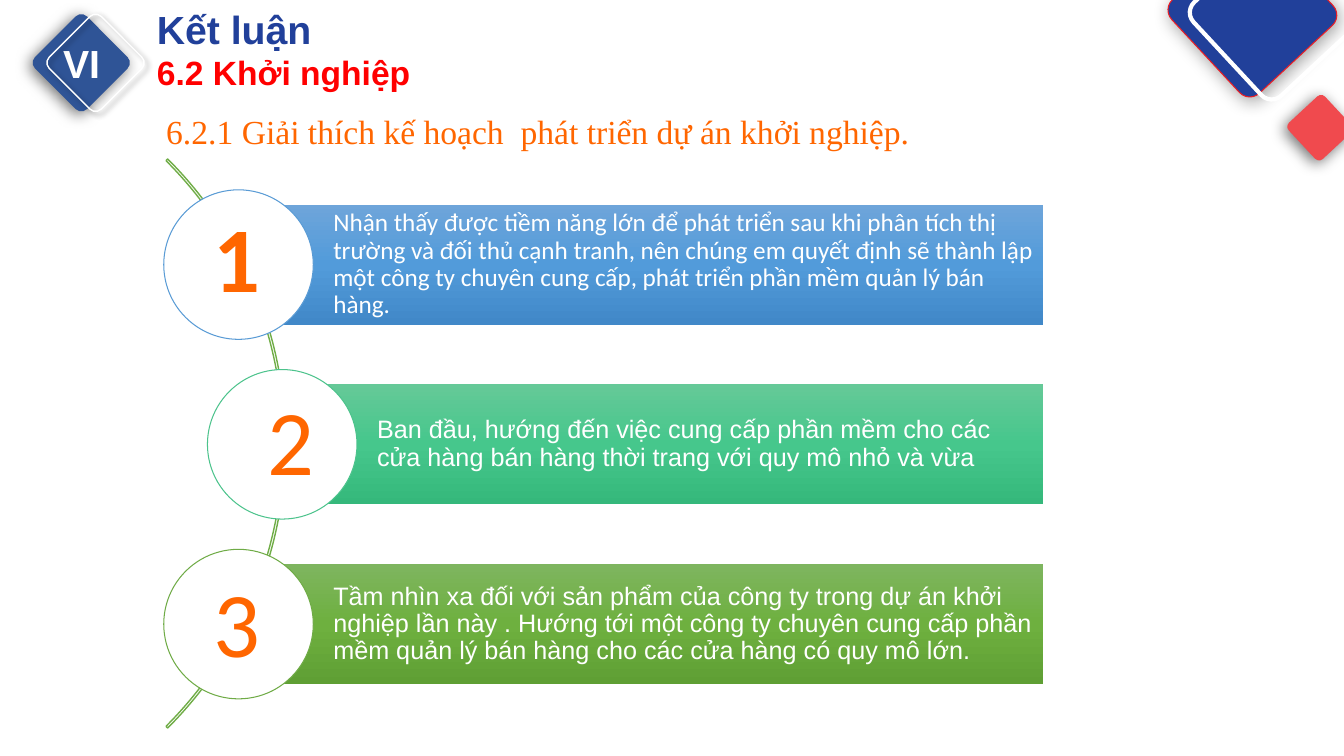
from copy import deepcopy

from lxml import etree
from pptx import Presentation
from pptx import util as u
from pptx.dml.color import RGBColor
from pptx.enum import shapes, text
from pptx.oxml.ns import qn

BLUE = RGBColor(0x21, 0x40, 0x9A)
BADGE_BLUE = RGBColor(0x2F, 0x54, 0x96)
RED = RGBColor(0xFF, 0x00, 0x00)
EDGE_RED = RGBColor(0xED, 0x1D, 0x24)
CORAL = RGBColor(0xF0, 0x4A, 0x4E)
ORANGE = RGBColor(0xFF, 0x66, 0x00)
WHITE = RGBColor(0xFF, 0xFF, 0xFF)
BLACK = RGBColor(0x00, 0x00, 0x00)
ARC_GREEN = RGBColor(0x70, 0xAD, 0x47)
RING_BLUE = RGBColor(0x59, 0x9B, 0xD5)
RING_TEAL = RGBColor(0x4C, 0xC3, 0x8C)
RING_GREEN = RGBColor(0x6F, 0xAB, 0x46)
BLUES = (RGBColor(0x6E, 0xA5, 0xDA), RGBColor(0x52, 0x9B, 0xDA), RGBColor(0x41, 0x88, 0xC8))
TEALS = (RGBColor(0x65, 0xC9, 0x98), RGBColor(0x46, 0xC7, 0x8C), RGBColor(0x35, 0xB8, 0x7B))
GREENS = (RGBColor(0x7E, 0xB5, 0x5F), RGBColor(0x6E, 0xB0, 0x3F), RGBColor(0x5F, 0x9F, 0x34))

COLUMNS, ROWS = 160, 90
CELL = u.Inches(13.333) / COLUMNS

# Grid measures of the numbered list
FIRST_CENTRE, PITCH = 31.5, 21.4
BAR_HEIGHT, BAR_RIGHT = 14.3, 124.2
CIRCLE = 17.8
# circle centre column, digit column, digit row, bold digit, font, ring, bar colours, words
POINTS = [
    (28.4, 24.2, 23.2, True, "Calibri", RING_BLUE, BLUES,
     "Nhận thấy được tiềm năng lớn để phát triển sau khi phân tích thị trường "
     "và đối thủ cạnh tranh, nên chúng em quyết định sẽ thành lập một công ty "
     "chuyên cung cấp, phát triển phần mềm quản lý bán hàng."),
    (33.6, 30.7, 45, False, "Arial", RING_TEAL, TEALS,
     "Ban đầu, hướng đến việc cung cấp phần mềm cho các cửa hàng bán hàng "
     "thời trang với quy mô nhỏ và vừa"),
    (28.4, 24.2, 66.7, False, "Arial", RING_GREEN, GREENS,
     "Tầm nhìn xa đối với sản phẩm của công ty trong dự án khởi nghiệp lần "
     "này . Hướng tới một công ty chuyên cung cấp phần mềm quản lý bán hàng "
     "cho các cửa hàng có quy mô lớn."),
]


def write(frame, words, first=True, font="Arial", size=18, color=WHITE,
          bold=False, align=text.PP_ALIGN.LEFT, spacing=1.0):
    """Put one formatted paragraph into a text frame."""
    paragraph = frame.paragraphs[0] if first else frame.add_paragraph()
    paragraph.alignment = align
    paragraph.line_spacing = spacing
    run = paragraph.add_run()
    run.text = words
    run.font.name = font
    run.font.size = u.Pt(size)
    run.font.bold = bold
    run.font.color.rgb = color


class GridSlide:
    """A blank slide whose lengths are given in grid cells."""

    def __init__(self, deck):
        deck.slide_width = round(CELL * COLUMNS)
        deck.slide_height = round(CELL * ROWS)
        self.shapes = deck.slides.add_slide(deck.slide_layouts[6]).shapes

    def box(self, *cells):
        return [round(cell * CELL) for cell in cells]

    def figure(self, kind, left, top, width, height, fill=None, line=None, weight=0.75):
        figure = self.shapes.add_shape(kind, *self.box(left, top, width, height))
        figure.shadow.inherit = False
        if fill is None:
            figure.fill.background()
        else:
            figure.fill.solid()
            figure.fill.fore_color.rgb = fill
        if line is None:
            figure.line.fill.background()
        else:
            figure.line.color.rgb = line
            figure.line.width = u.Pt(weight)
        return figure

    def diamond(self, left, top, side, turn, shadow=None, **style):
        """Turned rounded square; shadow is (opacity %, blur pt, angle)."""
        diamond = self.figure(shapes.MSO_SHAPE.ROUNDED_RECTANGLE,
                              left, top, side, side, **style)
        diamond.adjustments[0] = 0.11
        diamond.rotation = turn
        if shadow:
            self.cast(diamond, *shadow)

    def cast(self, figure, opacity, blur, angle):
        effects = figure._element.spPr.find(qn("a:effectLst"))
        outer = etree.SubElement(
            effects, qn("a:outerShdw"), blurRad=str(u.Pt(blur)), dist=str(u.Pt(3)),
            dir=str(angle * 60000), algn="ctr", rotWithShape="0")
        color = etree.SubElement(outer, qn("a:srgbClr"), val=str(BLACK))
        etree.SubElement(color, qn("a:alpha"), val=str(opacity * 1000))

    def circle(self, left, top, size, ring):
        self.figure(shapes.MSO_SHAPE.OVAL, left, top, size, size, fill=WHITE, line=ring)

    def arc(self, left, top, size, color):
        arc = self.figure(shapes.MSO_SHAPE.BLOCK_ARC, left, top, size, size,
                          line=color, weight=1)
        for index, value in enumerate((189, 27, 0.003)):
            arc.adjustments[index] = value

    def bar(self, left, top, width, height, colors, words, font):
        bar = self.figure(shapes.MSO_SHAPE.RECTANGLE, left, top, width, height)
        bar.fill.gradient()
        bar.fill.gradient_angle = 270
        stops = bar._element.spPr.find(qn("a:gradFill")).find(qn("a:gsLst"))
        stops.insert(1, deepcopy(stops[0]))
        for stop, color, place in zip(bar.fill.gradient_stops, colors, (0, 0.5, 1)):
            stop.color.rgb = color
            stop.position = place
        frame = bar.text_frame
        frame.word_wrap = True
        frame.vertical_anchor = text.MSO_ANCHOR.MIDDLE
        frame.margin_left = u.Inches(0.94)
        frame.margin_right = frame.margin_top = frame.margin_bottom = u.Inches(0.05)
        write(frame, words, font=font, spacing=0.9)

    def label(self, left, top, width, height):
        frame = self.shapes.add_textbox(*self.box(left, top, width, height)).text_frame
        frame.word_wrap = True
        return frame


def main():
    deck = Presentation()
    slide = GridSlide(deck)

    title = slide.label(17.5, 0, 89.4, 11.8)
    write(title, "Kết luận", size=28, color=BLUE, bold=True)
    write(title, "6.2 Khởi nghiệp", first=False, size=24, color=RED, bold=True)

    slide.diamond(141.5, -6.1, 15.2, 47.1, fill=BLUE, line=EDGE_RED, shadow=(36, 13, 55))
    slide.diamond(154.2, 12.25, 5.9, 47.1, fill=CORAL, shadow=(54, 11, 135))
    slide.diamond(144.1, -5.8, 15.2, 47.1, line=WHITE, weight=3)

    slide.diamond(5.3, 3.1, 8.75, 45, fill=BADGE_BLUE, shadow=(54, 11, 135))
    write(slide.label(5.2, 4.1, 9, 6.8), "VI", size=28, bold=True,
          align=text.PP_ALIGN.CENTER)
    slide.diamond(7, 3.1, 8.75, 45, line=WHITE, weight=1, shadow=(40, 4, 45))

    write(slide.label(18.6, 12.6, 91.7, 10.9),
          "6.2.1 Giải thích kế hoạch  phát triển dự án khởi nghiệp.",
          font="Times New Roman", size=24, color=ORANGE)

    slide.arc(-61.8, 4.9, 95.8, ARC_GREEN)
    for index, point in enumerate(POINTS):
        centre, digit_left, digit_top, bold, font, ring, colors, words = point
        middle = FIRST_CENTRE + index * PITCH
        slide.bar(centre, middle - BAR_HEIGHT / 2, BAR_RIGHT - centre, BAR_HEIGHT,
                  colors, words, font)
        slide.circle(centre - CIRCLE / 2, middle - CIRCLE / 2, CIRCLE, ring)
        write(slide.label(digit_left, digit_top, 8, 14.5), str(index + 1),
              font="Calibri", size=66, color=ORANGE, bold=bold)

    deck.save("out.pptx")


if __name__ == "__main__":
    main()
